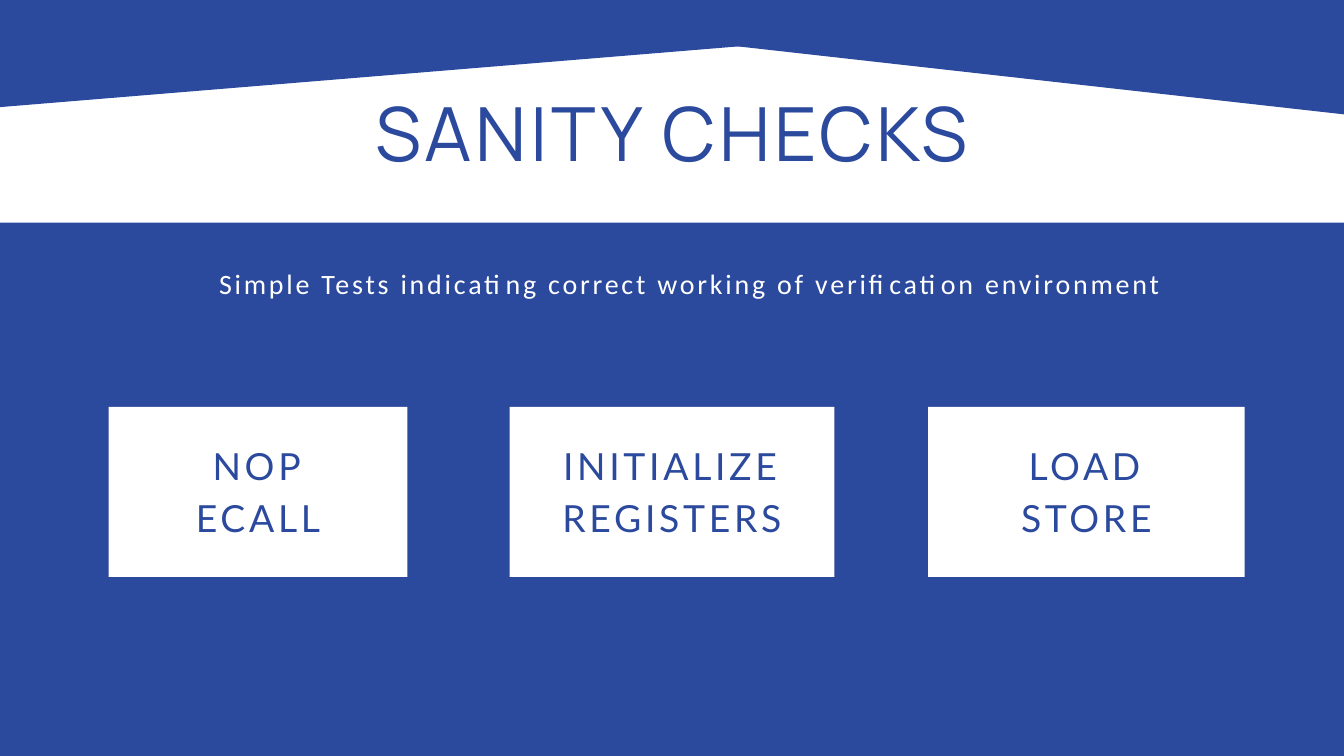
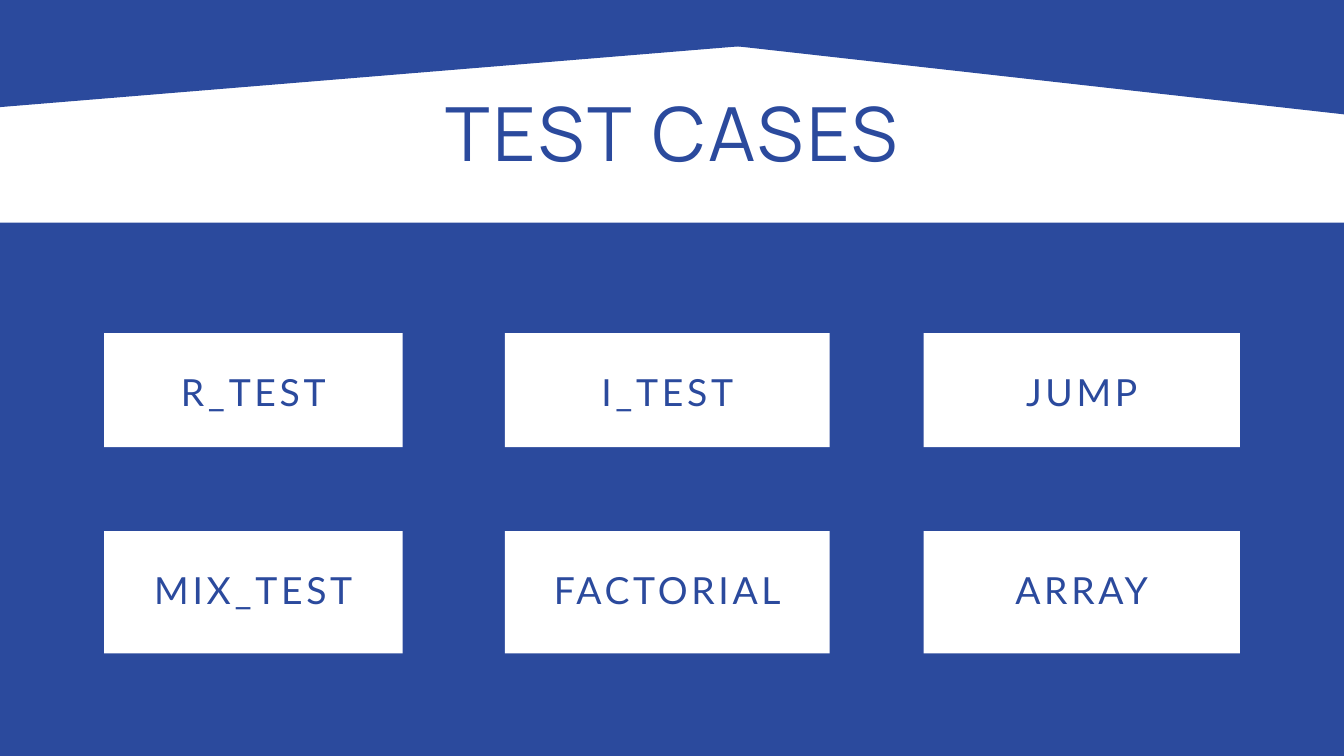
from dataclasses import dataclass

import pptx
import pptx.dml.color
import pptx.enum.shapes
import pptx.enum.text
import pptx.presentation
import pptx.shapes.autoshape
import pptx.slide
import pptx.util

Pt = pptx.util.Pt

COLORS = {"blue": "2B4A9D", "white": "FFFFFF"}


@dataclass(frozen=True)
class Box:
    left: float
    top: float
    width: float
    height: float
    rotation: float = 0


@dataclass(frozen=True)
class TextStyle:
    font: str
    size: float
    line_spacing: float
    letter_spacing: float
    color: str


@dataclass(frozen=True)
class Column:
    left: float
    width: float
    text_inset: float


@dataclass(frozen=True)
class CardRow:
    top: float
    height: float
    text_height: float
    labels: tuple[str, ...]


TITLE_STYLE = TextStyle("Manrope", 80, 84, 4, "blue")
CARD_STYLE = TextStyle("Lato", 40, 56, 4, "blue")
SUBTITLE_STYLE = TextStyle("Calibri", 30, 37.5, 3, "white")

BODY_BAND = Box(0, 238.5, 1440, 571.5)
ROOF_BANDS = (
    Box(299.5, -55.5, 1440, 130.5, 6.4),
    Box(-299.5, -50.5, 1440, 130.5, 355.3),
)
TITLE_BOX = Box(116.5, 105, 1207, 93.5)
SUBTITLE_BOX = Box(193.5, 284.5, 1091.5, 37.5)

COLUMNS = (
    Column(111.5, 320, 41),
    Column(541, 348, 0),
    Column(989.5, 339, 39),
)
CARD_TEXT_OFFSET = 30.5


def add_rectangle(slide: pptx.slide.Slide, box: Box, color: str) -> pptx.shapes.autoshape.Shape:
    shape = slide.shapes.add_shape(
        pptx.enum.shapes.MSO_SHAPE.RECTANGLE,
        Pt(box.left), Pt(box.top), Pt(box.width), Pt(box.height),
    )
    shape.rotation = box.rotation
    shape.shadow.inherit = False
    shape.fill.solid()
    shape.fill.fore_color.rgb = pptx.dml.color.RGBColor.from_string(COLORS[color])
    shape.line.fill.background()
    return shape


def add_text(slide: pptx.slide.Slide, box: Box, text: str, style: TextStyle) -> None:
    shape = slide.shapes.add_textbox(
        Pt(box.left), Pt(box.top), Pt(box.width), Pt(box.height)
    )
    frame = shape.text_frame
    frame.margin_left = frame.margin_right = frame.margin_top = frame.margin_bottom = 0
    frame.word_wrap = True
    frame.auto_size = pptx.enum.text.MSO_AUTO_SIZE.SHAPE_TO_FIT_TEXT
    paragraph = frame.paragraphs[0]
    paragraph.alignment = pptx.enum.text.PP_ALIGN.CENTER
    paragraph.line_spacing = Pt(style.line_spacing)
    run = paragraph.add_run()
    run.text = text
    run.font.name = style.font
    run.font.size = Pt(style.size)
    run.font.color.rgb = pptx.dml.color.RGBColor.from_string(COLORS[style.color])
    run.font._element.set("spc", str(round(style.letter_spacing * 100)))


def add_card_row(slide: pptx.slide.Slide, row: CardRow, shift: float = 0) -> None:
    for column, label in zip(COLUMNS, row.labels):
        left = column.left + shift
        add_rectangle(slide, Box(left, row.top, column.width, row.height), "white")
        text_box = Box(
            left + column.text_inset,
            row.top + CARD_TEXT_OFFSET,
            column.width - 2 * column.text_inset,
            row.text_height,
        )
        add_text(slide, text_box, label, CARD_STYLE)


def add_titled_slide(
    presentation: pptx.presentation.Presentation, title: str
) -> pptx.slide.Slide:
    slide = presentation.slides.add_slide(presentation.slide_layouts[6])
    for band in (BODY_BAND, *ROOF_BANDS):
        add_rectangle(slide, band, "blue")
    add_text(slide, TITLE_BOX, title, TITLE_STYLE)
    return slide


def add_sanity_checks(presentation: pptx.presentation.Presentation) -> None:
    slide = add_titled_slide(presentation, "SANITY CHECKS")
    labels = ("NOP ECALL", "INITIALIZE REGISTERS", "LOAD STORE")
    add_card_row(slide, CardRow(436, 182, 108.5, labels), shift=5)
    add_text(
        slide,
        SUBTITLE_BOX,
        "Simple Tests indicating correct working of verification environment",
        SUBTITLE_STYLE,
    )


def add_test_cases(presentation: pptx.presentation.Presentation) -> None:
    slide = add_titled_slide(presentation, "TEST CASES")
    rows = (
        CardRow(357, 122, 53.5, ("R_TEST", "I_TEST", "JUMP")),
        CardRow(569, 131, 53.5, ("MIX_TEST", "FACTORIAL", "ARRAY")),
    )
    for row in rows:
        add_card_row(slide, row)


def main() -> None:
    presentation = pptx.Presentation()
    presentation.slide_width = Pt(1440)
    presentation.slide_height = Pt(810)
    add_sanity_checks(presentation)
    add_test_cases(presentation)
    presentation.save("out.pptx")


if __name__ == "__main__":
    main()
